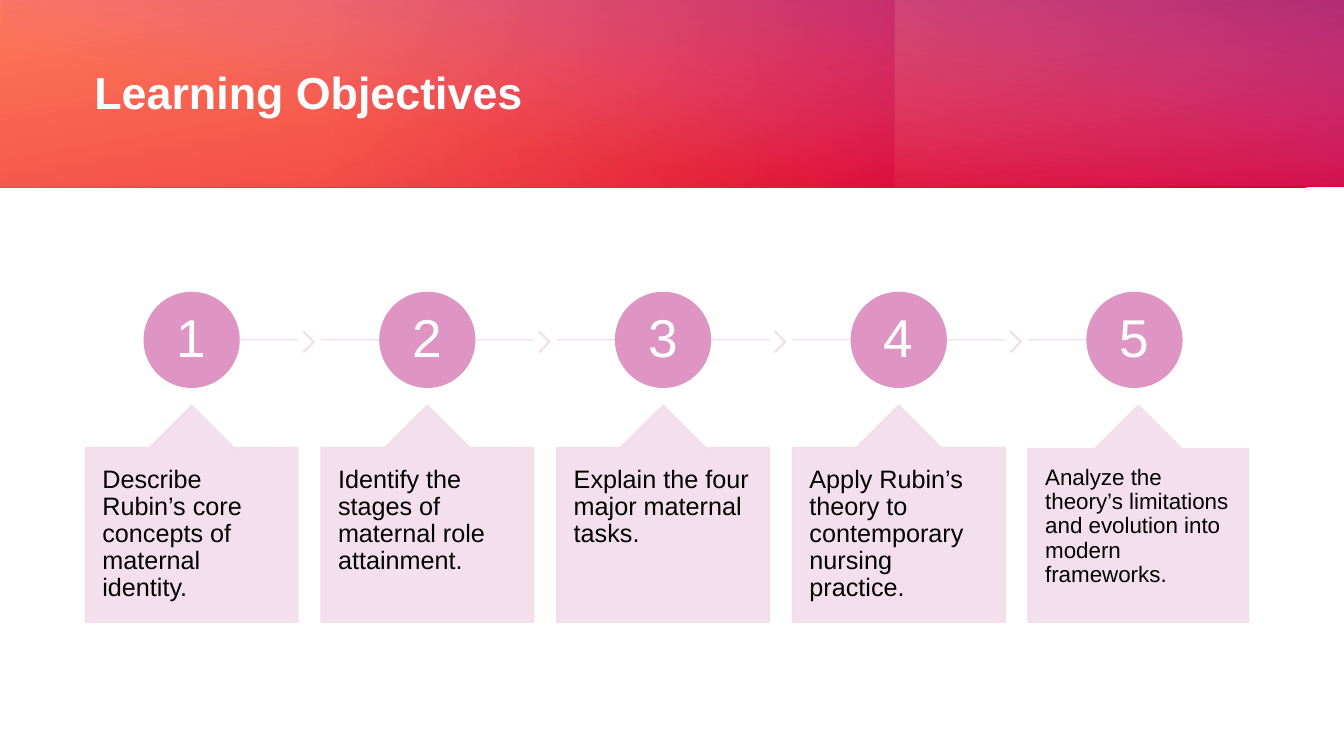
from lxml import etree
from pptx import Presentation
from pptx.dml.color import RGBColor
from pptx.enum import shapes as kinds, text as txt
from pptx.oxml import parse_xml
from pptx.oxml.ns import qn, nsdecls
from pptx.util import Cm, Pt

HUES = {"white": "FFFFFF", "black": "000000", "disc": "DE95C4", "card": "F2DDEA",
        "red": "DA002F", "peach": "FF8463", "coral": "FF6C4F",
        "pink": "D861D4", "plum": "93258E"}
KIND = kinds.MSO_SHAPE

deck = Presentation()
deck.slide_width, deck.slide_height = Cm(33.87), Cm(19.05)
slide = deck.slides.add_slide(deck.slide_layouts[6])
pool = slide.shapes


def paint(item, hue, alpha=100):
    """Give a shape or connector a solid line, and a fill where it has one."""
    parts = [item.line.fill]
    if hasattr(item, "fill"):
        item.shadow.inherit = False
        parts.append(item.fill)
    else:
        etree.SubElement(item._element.spPr, qn("a:effectLst"))
    for part in parts:
        part.solid()
        part.fore_color.rgb = RGBColor.from_string(HUES[hue])
    item.line.width = Pt(1)
    if alpha < 100:
        for tone in item._element.spPr.iter(qn("a:srgbClr")):
            etree.SubElement(tone, qn("a:alpha"), val=str(alpha * 1000))


def write(words, box, size, hue, pad, form, bold=False):
    """Add a wrapped text box; pad holds the side and top insets in cm."""
    frame = pool.add_textbox(*map(Cm, box)).text_frame
    side, top = map(Cm, pad)
    look = {"word_wrap": True, "margin_left": side, "margin_right": side,
            "margin_top": top, "margin_bottom": top, "vertical_anchor": form[0]}
    for key, val in look.items():
        setattr(frame, key, val)
    para = frame.paragraphs[0]
    para.text = words
    para.alignment, para.line_spacing = form[1], 0.9
    for key, val in {"name": "Arial", "size": Pt(size), "bold": bold}.items():
        setattr(para.font, key, val)
    para.font.color.rgb = RGBColor.from_string(HUES[hue])


# Header band: three layered gradients, stops as (position, colour, opacity)
bands = [
    ((-0.03, 0, 33.91, 4.72), 260, [(0, "red", 100), (100, "peach", 100)]),
    ((-0.03, 0, 22.58, 4.7), 0, [(37, "coral", 42), (99, "red", 50)]),
    ((0.03, -0.03, 33.88, 4.7), 280, [(32, "pink", 0), (100, "plum", 66)]),
]
for box, angle, stops in bands:
    band = pool.add_shape(KIND.RECTANGLE, *map(Cm, box))
    band.shadow.inherit = False
    band.line.fill.background()
    marks = "".join(
        f'<a:gs pos="{spot * 1000}"><a:srgbClr val="{HUES[hue]}">'
        f'<a:alpha val="{alpha * 1000}"/></a:srgbClr></a:gs>'
        for spot, hue, alpha in stops)
    band._element.spPr.find(qn("a:prstGeom")).addnext(parse_xml(
        f'<a:gradFill rotWithShape="1" {nsdecls("a")}><a:gsLst>{marks}</a:gsLst>'
        f'<a:lin ang="{angle * 60000}" scaled="0"/></a:gradFill>'))

# Title
left = (txt.MSO_ANCHOR.TOP, txt.PP_ALIGN.LEFT)
mid = (txt.MSO_ANCHOR.MIDDLE, txt.PP_ALIGN.CENTER)
write("Learning Objectives", (2.13, 0.97, 27.43, 2.87), 32, "white",
      (0.25, 0.13), (mid[0], left[1]), True)

# Numbered steps
goals = [
    "Describe Rubin’s core concepts of maternal identity.",
    "Identify the stages of maternal role attainment.",
    "Explain the four major maternal tasks.",
    "Apply Rubin’s theory to contemporary nursing practice.",
    "Analyze the theory’s limitations and evolution into modern frameworks.",
]
START, PITCH, WIDE, DISC = 2.15, 5.94, 5.36, 2.39
AXIS = 8.56
for i, goal in enumerate(goals):
    x = START + i * PITCH
    hub = x + WIDE / 2
    first, last = i == 0, i == len(goals) - 1
    wide = 5.56 if last else WIDE

    # Track and chevron
    ends = (hub if first else x, AXIS, hub if last else x + WIDE, AXIS)
    track = pool.add_connector(kinds.MSO_CONNECTOR.STRAIGHT, *map(Cm, ends))
    paint(track, "card", 90)
    if not last:
        arrow = pool.add_shape(KIND.CHEVRON, *map(Cm, (x + 5.49, 8.36, 0.28, 0.51)))
        arrow.adjustments[0] = 0.9
        paint(arrow, "card", 90)

    # Number disc
    disc = pool.add_shape(KIND.OVAL, *map(Cm, (hub - DISC / 2, 7.37, DISC, DISC)))
    paint(disc, "disc")
    write(str(i + 1), (hub - 0.85, 7.72, 1.7, 1.7), 38, "white", (0.1, 0.1), mid)

    # Callout card
    card = pool.add_shape(KIND.UP_ARROW_CALLOUT, *map(Cm, (x, 10.21, wide, 5.47)))
    for n, val in enumerate((0.5, 0.2, 0.2, 1)):
        card.adjustments[n] = val
    paint(card, "card", 90)
    write(goal, (x, 11.29, wide, 4.39), 16 if last else 18, "black", (0.43, 0.46), left)

deck.save("out.pptx")
